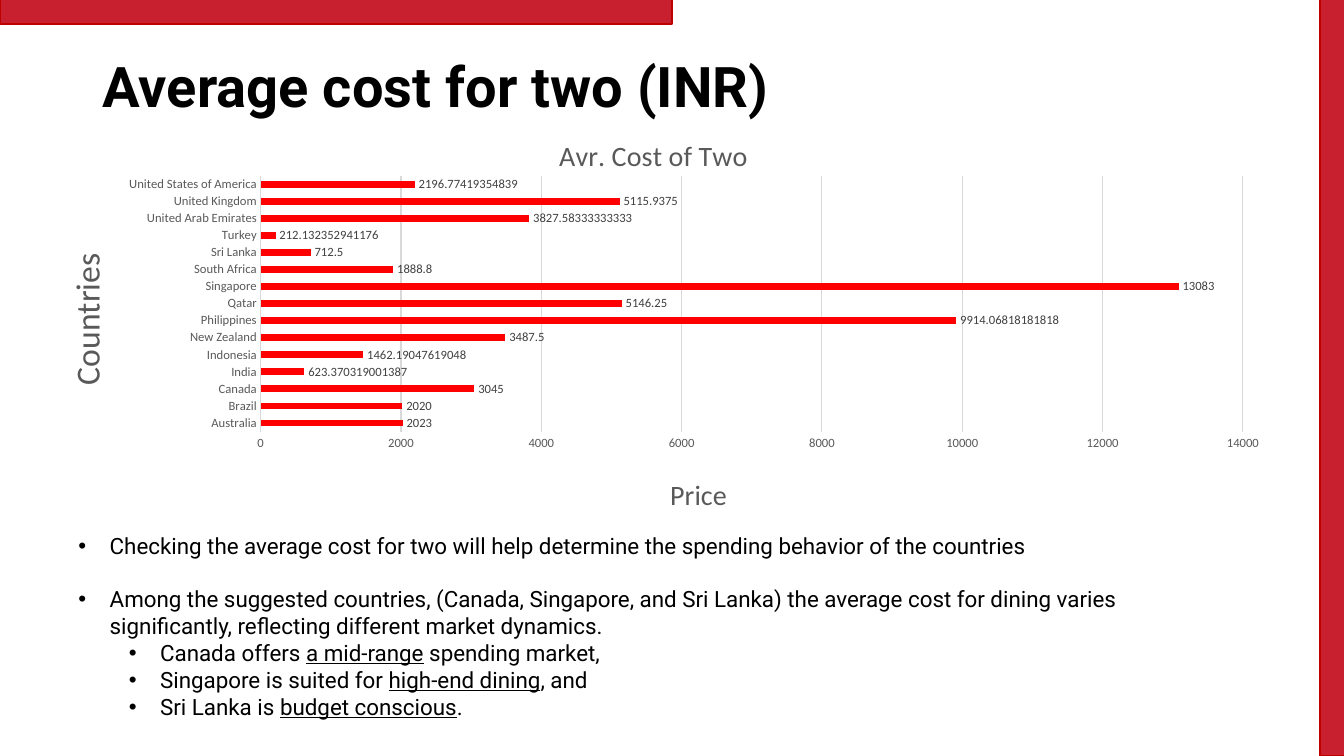
from lxml import etree
from pptx import Presentation
from pptx.chart.data import CategoryChartData
from pptx.dml.color import RGBColor
from pptx.enum.chart import XL_CHART_TYPE, XL_LABEL_POSITION, XL_TICK_MARK
from pptx.enum.shapes import MSO_SHAPE
from pptx.enum.text import MSO_ANCHOR
from pptx.oxml.ns import qn
from pptx.util import Inches, Pt

BAR_CLUSTERED = XL_CHART_TYPE.BAR_CLUSTERED
OUTSIDE_END = XL_LABEL_POSITION.OUTSIDE_END
NO_TICK = XL_TICK_MARK.NONE

WIDTH, HEIGHT = 13.33, 7.5
BAND = 0.25
COLORS = {"black": "000000", "band": "C8202F", "band_edge": "BD0000",
          "bar": "FF0000", "axis": "595959", "label": "404040", "grid": "D9D9D9"}

TITLE = "Average cost for two (INR)"
CHART_TITLE, CATEGORY_TITLE, VALUE_TITLE = "Avr. Cost of Two", "Countries", "Price"
COSTS = {
    "Australia": 2023,
    "Brazil": 2020,
    "Canada": 3045,
    "India": 623.370319001387,
    "Indonesia": 1462.19047619048,
    "New Zealand": 3487.5,
    "Philippines": 9914.06818181818,
    "Qatar": 5146.25,
    "Singapore": 13083,
    "South Africa": 1888.8,
    "Sri Lanka": 712.5,
    "Turkey": 212.132352941176,
    "United Arab Emirates": 3827.58333333333,
    "United Kingdom": 5115.9375,
    "United States of America": 2196.77419354839,
}
# Level, space before in points, then text before, inside and after the underline
BULLETS = [
    (0, 0, "Checking the average cost for two will help determine the spending "
           "behavior of the countries", "", ""),
    (0, 19, "Among the suggested countries, (Canada, Singapore, and Sri Lanka) the average "
            "cost for dining varies significantly, reflecting different market dynamics.", "", ""),
    (1, 0, "Canada offers ", "a mid-range", " spending market,"),
    (1, 0, "Singapore is suited for ", "high-end dining", ", and"),
    (1, 0, "Sri Lanka is ", "budget conscious", "."),
]
# Shares of the chart's width and height
PLOT_PLACE = {"x": 0.187, "y": 0.158, "w": 0.78, "h": 0.613}
TITLE_PLACES = [{"x": 0.42, "y": 0.05}, {"x": 0.026, "y": 0.33}, {"x": 0.508, "y": 0.862}]


def color(name):
    return RGBColor.from_string(COLORS[name])


def style(font, size, tint, name="Calibri", bold=False):
    font.size, font.name, font.bold = Pt(size), name, bold
    font.color.rgb = color(tint)


def add_text(paragraph, text, size=16, tint="black", name="Roboto", bold=False, underline=None):
    run = paragraph.add_run()
    run.text = text
    style(run.font, size, tint, name, bold)
    run.font.underline = underline


def add_text_box(slide, left, top, width, height):
    box = slide.shapes.add_textbox(*map(Inches, (left, top, width, height)))
    box.text_frame.word_wrap = True
    return box.text_frame


def set_bullet(paragraph, level):
    properties = paragraph._p.get_or_add_pPr()
    properties.set("marL", str(Inches(0.31 + 0.5 * level)))
    properties.set("indent", str(-Inches(0.31)))
    font = etree.SubElement(properties, qn("a:buFont"))
    font.set("typeface", "Arial")
    etree.SubElement(properties, qn("a:buChar")).set("char", "•")


def add_band(slide, left, top, width, height):
    band = slide.shapes.add_shape(MSO_SHAPE.RECTANGLE, *map(Inches, (left, top, width, height)))
    band.shadow.inherit = False
    band.fill.solid()
    band.fill.fore_color.rgb = color("band")
    band.line.color.rgb = color("band_edge")
    band.line.width = Pt(1)


def place(element, index, shares):
    """Give a chart part a manual layout, inserted at its child index."""
    for old in element.findall(qn("c:layout")):
        element.remove(old)
    layout = etree.Element(qn("c:layout"))
    manual = etree.SubElement(layout, qn("c:manualLayout"))
    if "w" in shares:
        etree.SubElement(manual, qn("c:layoutTarget")).set("val", "inner")
    for key in ("x", "y"):
        etree.SubElement(manual, qn(f"c:{key}Mode")).set("val", "edge")
    for key, share in shares.items():
        etree.SubElement(manual, qn(f"c:{key}")).set("val", str(share))
    element.insert(index, layout)


def add_cost_chart(slide):
    data = CategoryChartData()
    data.categories = list(COSTS)
    data.add_series("Series 1", list(COSTS.values()))
    area = map(Inches, (0.25, 1.09, 12.49, 4.14))
    chart = slide.shapes.add_chart(BAR_CLUSTERED, *area, data).chart
    chart.has_legend = False
    style(chart.font, 10, "black")

    plot = chart.plots[0]
    plot.gap_width = 150
    plot.vary_by_categories = False
    fill = plot.series[0].format.fill
    fill.solid()
    fill.fore_color.rgb = color("bar")
    plot.has_data_labels = True
    labels = plot.data_labels
    labels.show_value = True
    labels.position = OUTSIDE_END
    labels.number_format, labels.number_format_is_linked = "General", False
    style(labels.font, 9, "label")

    for axis in (chart.category_axis, chart.value_axis):
        axis.major_tick_mark = axis.minor_tick_mark = NO_TICK
        axis.format.line.fill.background()
        style(axis.tick_labels.font, 9, "axis")
    value_axis = chart.value_axis
    value_axis.minimum_scale, value_axis.maximum_scale, value_axis.major_unit = 0, 14000, 2000
    value_axis.has_major_gridlines = True
    value_axis.major_gridlines.format.line.color.rgb = color("grid")
    value_axis.major_gridlines.format.line.width = Pt(0.75)

    titles = [(chart.chart_title, CHART_TITLE, 20),
              (chart.category_axis.axis_title, CATEGORY_TITLE, 24),
              (value_axis.axis_title, VALUE_TITLE, 20)]
    for title, text, size in titles:
        add_text(title.text_frame.paragraphs[0], text, size=size, tint="axis", name="Calibri")

    for element, shares in zip(chart.element.iter(qn("c:title")), TITLE_PLACES):
        place(element, 1, shares)
    category_title = chart.element.find(".//" + qn("c:catAx") + "/" + qn("c:title"))
    category_title.find(".//" + qn("a:bodyPr")).set("rot", "-5400000")
    place(chart.element.find(".//" + qn("c:plotArea")), 0, PLOT_PLACE)


def main():
    presentation = Presentation()
    presentation.slide_width, presentation.slide_height = Inches(WIDTH), Inches(HEIGHT)
    slide = presentation.slides.add_slide(presentation.slide_layouts[6])

    heading = add_text_box(slide, 0.92, 0.4, 11.5, 0.98)
    heading.vertical_anchor = MSO_ANCHOR.MIDDLE
    heading.paragraphs[0].line_spacing = 0.9
    add_text(heading.paragraphs[0], TITLE, size=40, bold=True)

    body = add_text_box(slide, 0.68, 5.23, 11.62, 1.99)
    for index, (level, space, before, marked, after) in enumerate(BULLETS):
        paragraph = body.add_paragraph() if index else body.paragraphs[0]
        paragraph.level = level
        paragraph.space_before = Pt(space)
        set_bullet(paragraph, level)
        add_text(paragraph, before)
        if marked:
            add_text(paragraph, marked, underline=True)
            add_text(paragraph, after)

    add_band(slide, 0, -0.01, WIDTH / 2, BAND)
    add_band(slide, 13.09, -0.01, BAND, HEIGHT + 0.01)
    add_cost_chart(slide)
    presentation.save("out.pptx")


if __name__ == "__main__":
    main()
